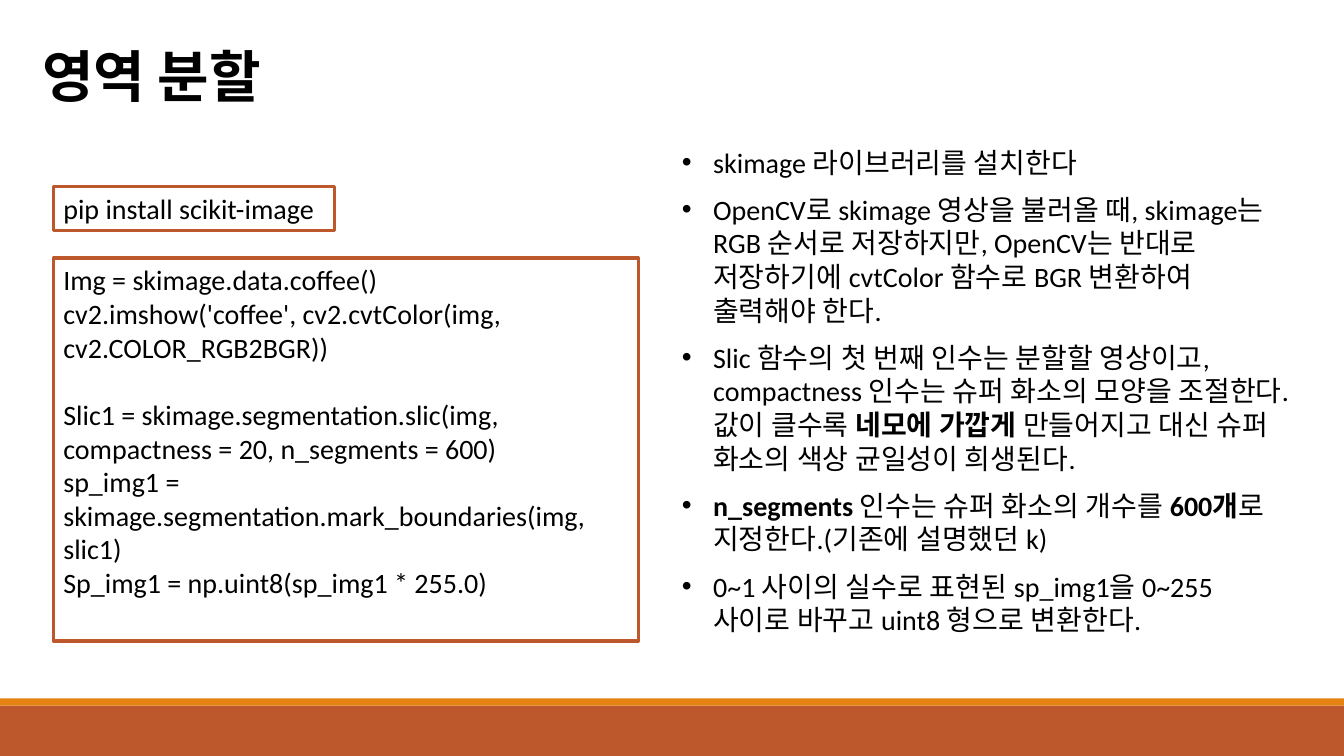
from lxml import etree
from pptx import Presentation
from pptx import util as u
from pptx.dml.color import RGBColor
from pptx.enum import shapes, text
from pptx.oxml import ns

WIDTH, HEIGHT = 13.33, 7.5
LATIN, KOREAN = "Calibri", "Noto Sans CJK KR"
RUST, ORANGE, BLACK = "BD582C", "E48312", "000000"

INSTALL = [[("pip install scikit-image", False)]]
CODE = [[(line, False)] for line in (
    "Img = skimage.data.coffee()",
    "cv2.imshow('coffee', cv2.cvtColor(img, cv2.COLOR_RGB2BGR))",
    "Slic1 = skimage.segmentation.slic(img, compactness = 20, n_segments = 600)",
    "sp_img1 = skimage.segmentation.mark_boundaries(img, slic1)",
    "Sp_img1 = np.uint8(sp_img1 * 255.0)",
)]
NOTES = [
    [("skimage 라이브러리를 설치한다", False)],
    [("OpenCV로 skimage 영상을 불러올 때, skimage는 RGB 순서로 저장하지만, "
      "OpenCV는 반대로 저장하기에 cvtColor 함수로 BGR 변환하여 출력해야 한다.", False)],
    [("Slic 함수의 첫 번째 인수는 분할할 영상이고, compactness 인수는 "
      "슈퍼 화소의 모양을 조절한다. 값이 클수록 ", False),
     ("네모에 가깝게", True),
     (" 만들어지고 대신 슈퍼 화소의 색상 균일성이 희생된다.", False)],
    [("n_segments ", True), ("인수는 슈퍼 화소의 개수를 ", False),
     ("600개", True), ("로 지정한다.(기존에 설명했던 k)", False)],
    [("0~1 사이의 실수로 표현된 sp_img1을 0~255 사이로 바꾸고 "
      "uint8 형으로 변환한다.", False)],
]


def color(value):
    """Turn a hex string into a colour."""
    return RGBColor.from_string(value)


def place(left, top, width, height):
    """Turn inches into slide lengths."""
    return [u.Inches(length) for length in (left, top, width, height)]


def add_band(page, top, height, fill):
    """Add a filled band across the whole slide."""
    band = page.shapes.add_shape(
        shapes.MSO_SHAPE.RECTANGLE, *place(0, top, WIDTH, height))
    band.shadow.inherit = False
    band.fill.solid()
    band.fill.fore_color.rgb = color(fill)
    band.line.fill.background()


def add_frame(page, left, top, width, height):
    """Add an unfilled rectangle with a rust outline."""
    frame = page.shapes.add_shape(
        shapes.MSO_SHAPE.RECTANGLE, *place(left, top, width, height))
    frame.shadow.inherit = False
    frame.fill.background()
    frame.line.color.rgb = color(RUST)
    frame.line.width = u.Pt(2.25)
    return frame


def add_bullet(para):
    """Give a paragraph a hanging round bullet."""
    props = para._p.get_or_add_pPr()
    props.set("marL", str(u.Inches(0.31)))
    props.set("indent", str(u.Inches(-0.31)))
    etree.SubElement(props, ns.qn("a:buFont"), typeface="Arial")
    etree.SubElement(props, ns.qn("a:buChar"), char="•")


def add_span(para, words, bold, size, font):
    """Add one styled run to a paragraph."""
    span = para.add_run()
    span.text = words
    span.font.name = font
    span.font.size = u.Pt(size)
    span.font.bold = bold
    span.font.color.rgb = color(BLACK)
    latin = span._r.get_or_add_rPr().find(ns.qn("a:latin"))
    latin.addnext(latin.makeelement(ns.qn("a:ea"), {"typeface": LATIN}))


def write(box, paragraphs, size=20, font=LATIN, bullets=False, gaps=None, wrap=True):
    """Fill a box with paragraphs; gaps gives the space before, by index."""
    frame = box.text_frame
    frame.word_wrap = wrap
    frame.vertical_anchor = text.MSO_ANCHOR.TOP
    for index, spans in enumerate(paragraphs):
        para = frame.add_paragraph() if index else frame.paragraphs[0]
        para.alignment = text.PP_ALIGN.LEFT
        if gaps and index in gaps:
            para.space_before = u.Pt(gaps[index])
        if bullets:
            add_bullet(para)
        for words, bold in spans:
            add_span(para, words, bold, size, font)


def main():
    """Build the slide and save it."""
    deck = Presentation()
    deck.slide_width, deck.slide_height = u.Inches(WIDTH), u.Inches(HEIGHT)
    page = deck.slides.add_slide(deck.slide_layouts[6])

    add_band(page, 7, 0.5, RUST)
    add_band(page, 6.93, 0.07, ORANGE)

    title = page.shapes.add_textbox(*place(0.32, 0.36, 2.64, 0.77))
    write(title, [[("영역 분할", True)]], size=40, font=KOREAN, wrap=False)

    notes = page.shapes.add_textbox(*place(WIDTH / 2, 1.39, 6.24, 5.35))
    write(notes, NOTES, bullets=True,
          gaps={index: 9.7 for index in range(1, len(NOTES))})

    write(add_frame(page, 0.53, 2.56, 5.8, 3.8), CODE, gaps={2: 24})
    write(add_frame(page, 0.53, 1.85, 2.79, 0.44), INSTALL)

    deck.save("out.pptx")


if __name__ == "__main__":
    main()
